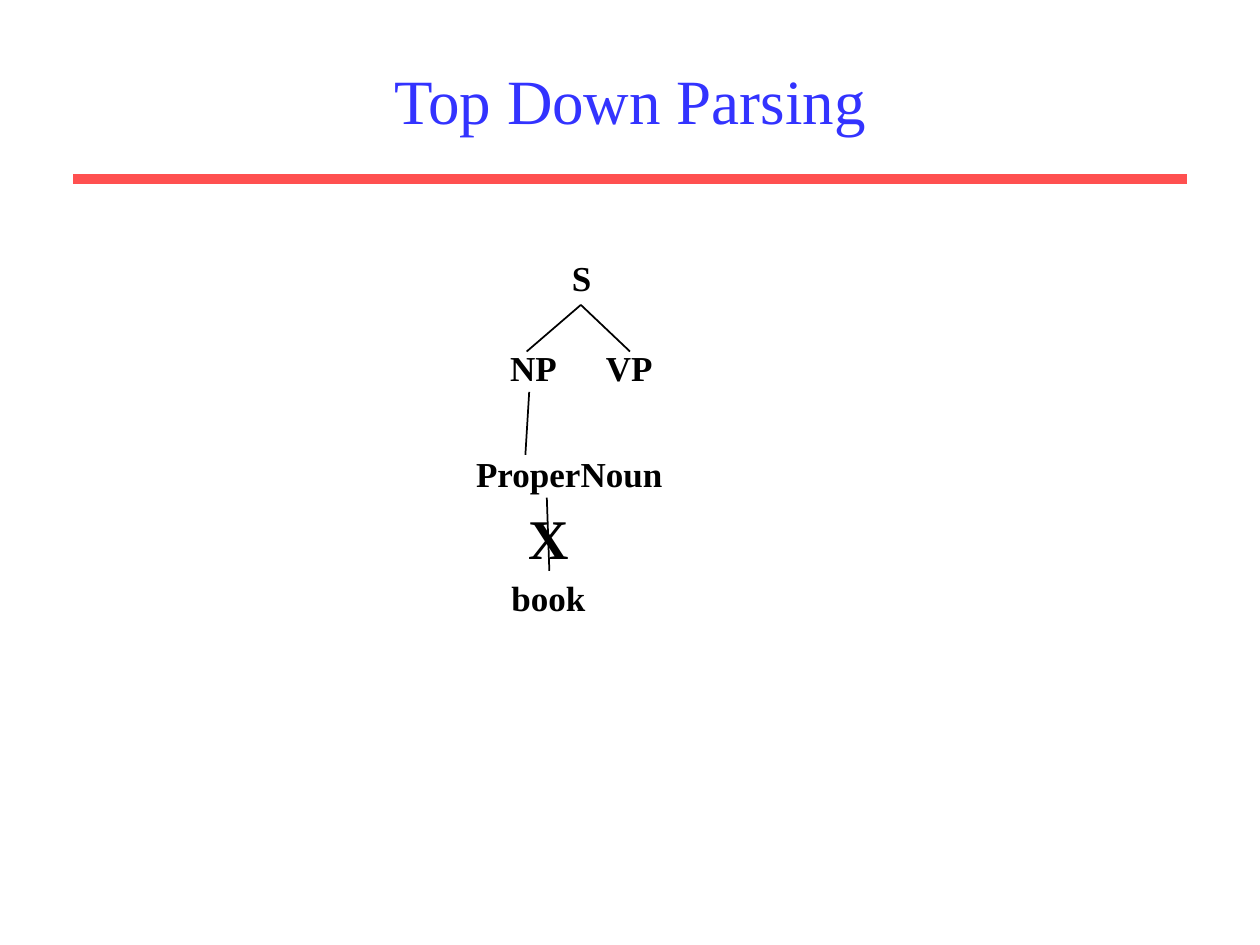
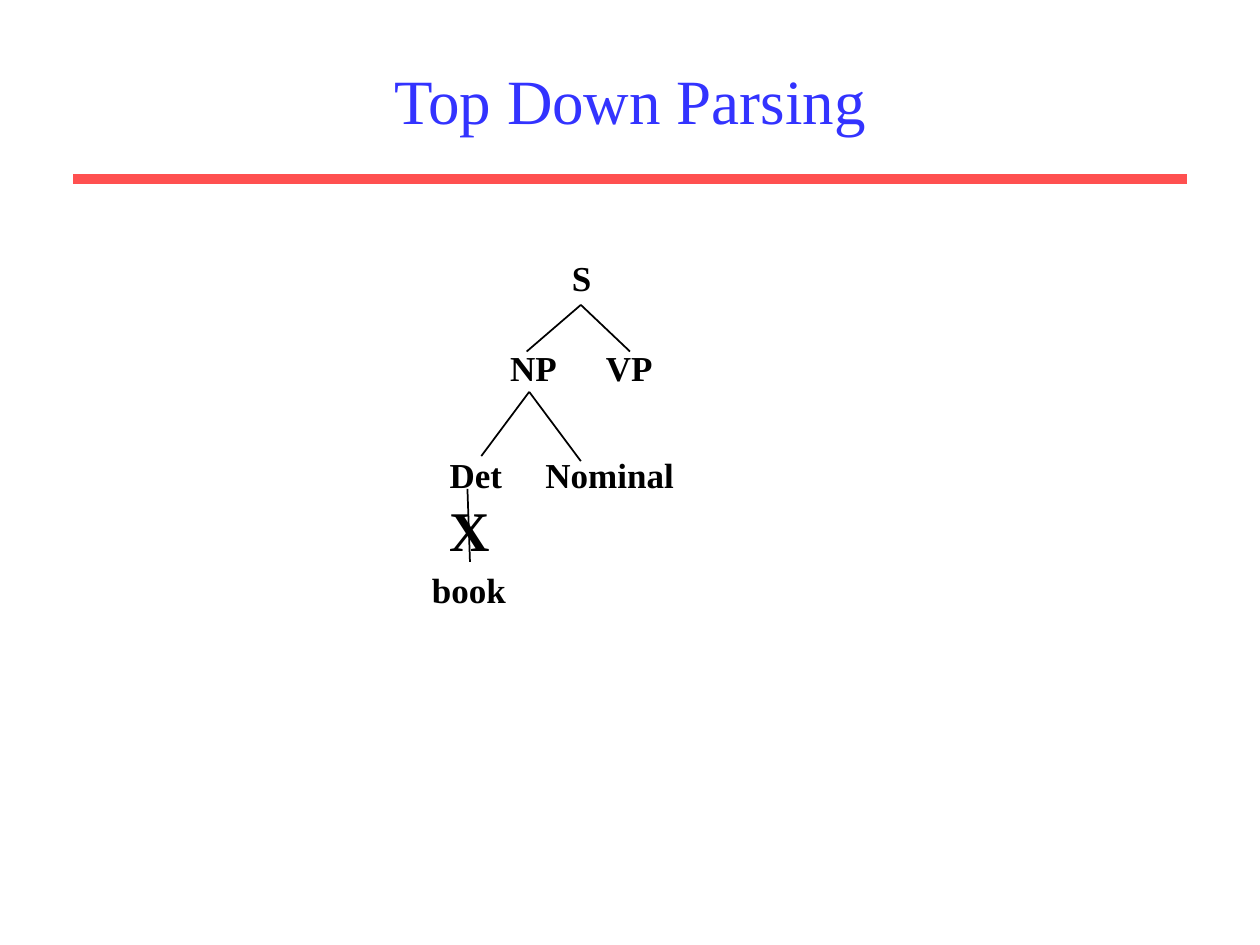
from lxml import etree
from pptx import Presentation
from pptx import util as u
from pptx.dml.color import RGBColor
from pptx.enum import shapes, text
from pptx.oxml.ns import qn

TITLE_BLUE = "3333FF"
RULE_RED = "FF5050"
BLACK = "000000"
FONT = "Times New Roman"
SIBLING_TAB = 0.76


def colour(hex_string):
    return RGBColor.from_string(hex_string)


class ParseDeck:
    """Holds the presentation, its style and the slide being drawn."""

    def __init__(self):
        self.presentation = Presentation()
        self.presentation.slide_width = u.Inches(10)
        self.presentation.slide_height = u.Inches(7.5)
        self.slide = None

    def add_slide(self, title):
        blank_layout = self.presentation.slide_layouts[6]
        self.slide = self.presentation.slides.add_slide(blank_layout)
        self.line((0.58, 1.42), (9.42, 1.42), RULE_RED, 6)
        frame = self.text(title, 0.75, 0.25, 8.5, 1.08, 36, TITLE_BLUE, bold=False)
        frame.vertical_anchor = text.MSO_ANCHOR.MIDDLE
        frame.paragraphs[0].alignment = text.PP_ALIGN.CENTER

    def line(self, start, end, line_colour=BLACK, width=1):
        connector = self.slide.shapes.add_connector(
            shapes.MSO_CONNECTOR.STRAIGHT, *map(u.Inches, start + end))
        connector.line.color.rgb = colour(line_colour)
        connector.line.width = u.Pt(width)
        etree.SubElement(connector.element.spPr, qn("a:effectLst"))

    def text(self, words, left, top, width, height=0.44, size=20,
             text_colour=BLACK, bold=True):
        box = self.slide.shapes.add_textbox(*map(u.Inches, (left, top, width, height)))
        frame = box.text_frame
        frame.word_wrap = True
        frame.text = words
        paragraph = frame.paragraphs[0]
        if "\t" in words:
            self.tab_stop(paragraph, SIBLING_TAB)
        font = paragraph.runs[0].font
        font.name = FONT
        font.size = u.Pt(size)
        font.bold = bold
        font.color.rgb = colour(text_colour)
        return frame

    def tab_stop(self, paragraph, position):
        properties = paragraph._p.get_or_add_pPr()
        tabs = etree.SubElement(properties, qn("a:tabLst"))
        etree.SubElement(tabs, qn("a:tab"), pos=str(u.Inches(position)), algn="l")

    def sentence_top(self):
        """Draw S with its children NP and VP."""
        self.text("S", 4.44, 1.99, 0.4)
        self.text("NP\tVP", 3.95, 2.7, 1.4)
        for child in ((4.18, 2.79), (5, 2.79)):
            self.line((4.61, 2.42), child)

    def rejected_word(self, word, left, top):
        """Draw a word under a branch that is crossed out."""
        self.text(word, left, top + 0.58, 0.84)
        self.line((left + 0.38, top), (left + 0.4, top + 0.58))
        self.text("X", left + 0.14, top, 0.56, 0.64, size=32)


def main():
    deck = ParseDeck()

    deck.add_slide("Top Down Parsing")
    deck.sentence_top()
    deck.text("ProperNoun", 3.68, 3.54, 1.75)
    deck.line((4.2, 3.11), (4.17, 3.61))
    deck.rejected_word("book", 3.96, 3.95)

    deck.add_slide("Top Down Parsing")
    deck.sentence_top()
    deck.text("Det\tNominal", 3.47, 3.55, 2.05)
    for child in ((3.82, 3.62), (4.61, 3.66)):
        deck.line((4.2, 3.11), child)
    deck.rejected_word("book", 3.33, 3.88)

    deck.presentation.save("out.pptx")


if __name__ == "__main__":
    main()
